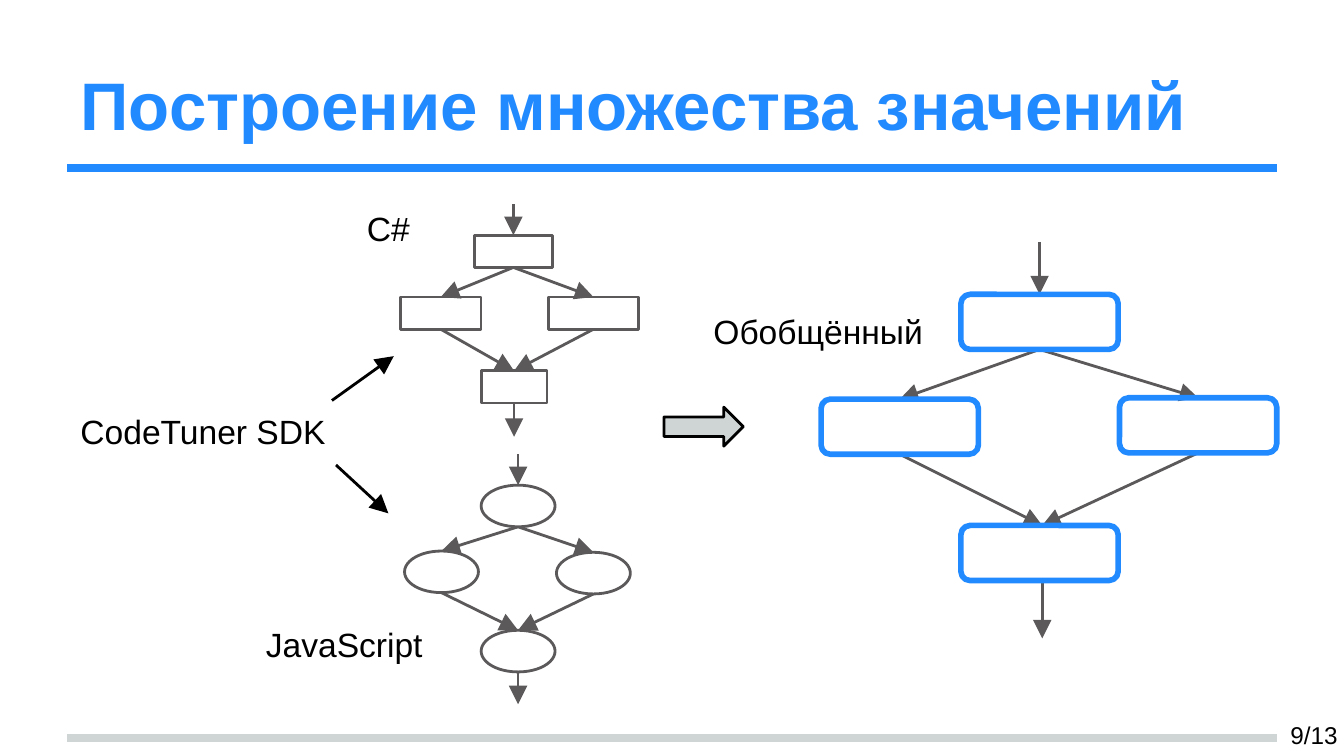
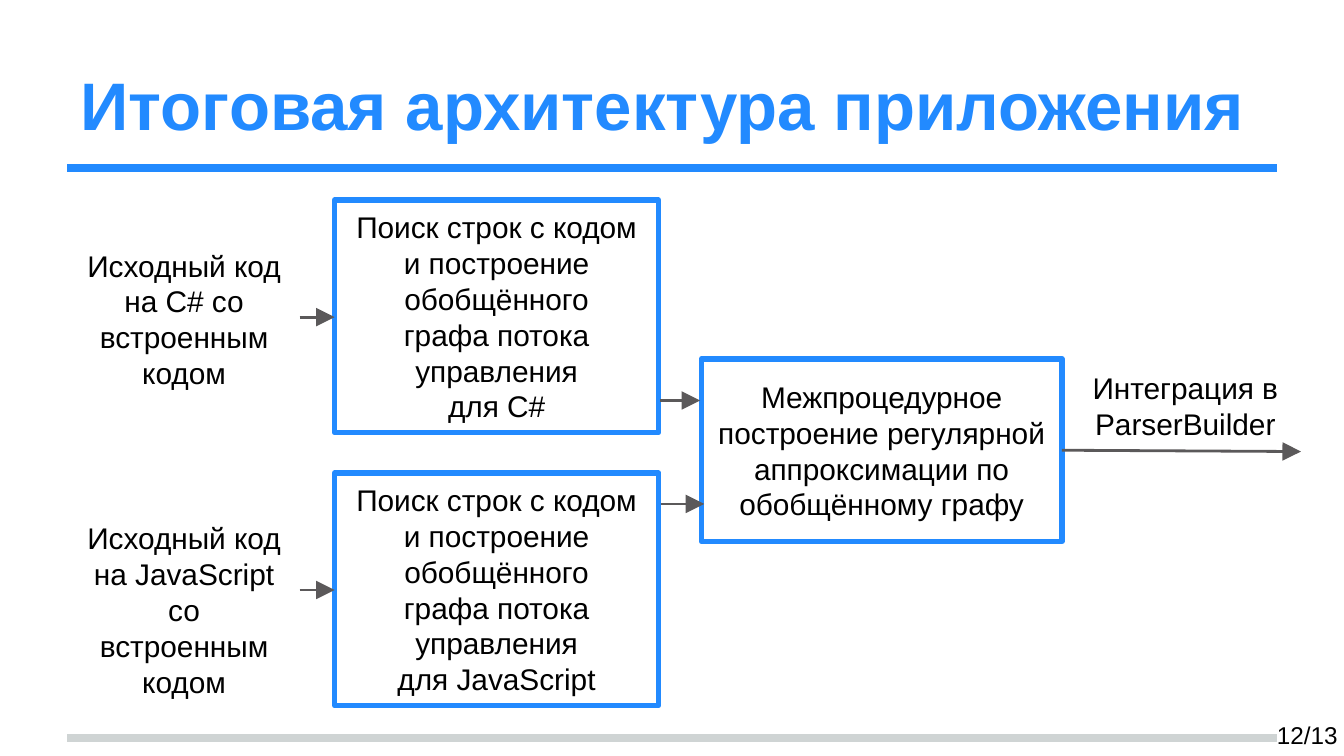
import pptx
import pptx.util
import pptx.dml.color
import pptx.enum.shapes
import pptx.enum.text
import pptx.oxml.ns
from dataclasses import dataclass
from lxml import etree

Inches = pptx.util.Inches
Pt = pptx.util.Pt
SHAPE = pptx.enum.shapes.MSO_SHAPE
ALIGN = pptx.enum.text.PP_ALIGN
ANCHOR = pptx.enum.text.MSO_ANCHOR


@dataclass(frozen=True)
class Theme:
    font: str = "Arial"
    blue: str = "228AFF"
    gray: str = "5B595A"
    silver: str = "CFD4D4"
    black: str = "000000"
    white: str = "FFFFFF"
    title: int = 36
    label: int = 18
    body: int = 16
    number: int = 13
    thin: float = 1.5
    thick: float = 3
    band: float = 4


THEME = Theme()


def rgb(color):
    return pptx.dml.color.RGBColor.from_string(color)


def apply(target, values):
    for name, value in values.items():
        setattr(target, name, value)


def place(sp, box):
    apply(sp, dict(zip(("left", "top", "width", "height"), map(Inches, box))))


def write(sp, paragraphs, size, align=ALIGN.LEFT, anchor=ANCHOR.TOP,
          color=THEME.black, bold=False):
    tf = sp.text_frame
    margins = ("margin_left", "margin_top", "margin_right", "margin_bottom")
    apply(tf, dict.fromkeys(margins, Inches(0.1)))
    apply(tf, {"word_wrap": True, "vertical_anchor": anchor,
               "auto_size": pptx.enum.text.MSO_AUTO_SIZE.NONE})
    for i, text in enumerate(paragraphs):
        p = tf.paragraphs[0] if i == 0 else tf.add_paragraph()
        p.alignment = align
        r = p.add_run()
        r.text = text
        apply(r.font, {"name": THEME.font, "size": Pt(size), "bold": bold})
        r.font.color.rgb = rgb(color)


def add_label(s, box, text, size=THEME.label, **style):
    write(s.shapes.add_textbox(*map(Inches, box)), [text], size, **style)


def add_line(s, start, end, color=THEME.gray, width=THEME.thin, arrow=True):
    line = s.shapes.add_connector(pptx.enum.shapes.MSO_CONNECTOR.STRAIGHT,
                                  *map(Inches, (*start, *end)))
    line.line.color.rgb = rgb(color)
    line.line.width = Pt(width)
    qn = pptx.oxml.ns.qn
    properties = line._element.spPr
    if arrow:
        etree.SubElement(properties.find(qn("a:ln")), qn("a:tailEnd"),
                         type="triangle", w="lg", len="lg")
    etree.SubElement(properties, qn("a:effectLst"))


def add_node(s, kind, box, line=THEME.gray, width=THEME.thin, fill=THEME.white):
    sp = s.shapes.add_shape(kind, *map(Inches, box))
    sp.shadow.inherit = False
    if fill:
        sp.fill.solid()
        sp.fill.fore_color.rgb = rgb(fill)
    else:
        sp.fill.background()
    sp.line.color.rgb = rgb(line)
    sp.line.width = Pt(width)
    return sp


def add_stage(s, box, paragraphs):
    sp = add_node(s, SHAPE.RECTANGLE, box, THEME.blue, THEME.thick)
    write(sp, paragraphs, THEME.body, ALIGN.CENTER, ANCHOR.MIDDLE)


def add_nodes(s, kind, boxes, **style):
    for box in boxes:
        add_node(s, kind, box, **style)


def add_flow_arrows(s, boxes, entry, leave, shift=0.0):
    def top(box):
        return box[0] + box[2] / 2, box[1]

    def bottom(box):
        return box[0] + box[2] / 2, box[1] + box[3]

    first, left, right, last = boxes
    x, y = top(first)
    add_line(s, (x, y - entry), (x, y))
    for branch in (left, right):
        add_line(s, bottom(first), top(branch))
    x, y = top(last)
    for branch in (right, left):
        add_line(s, bottom(branch), (x + shift, y))
    x, y = bottom(last)
    add_line(s, (x + shift, y), (x + shift, y + leave))


def add_slide(prs, title, number):
    s = prs.slides.add_slide(prs.slide_layouts[5])
    for y, color in ((5.49, THEME.silver), (1.25, THEME.blue)):
        add_line(s, (0.5, y), (9.5, y), color, THEME.band, arrow=False)
    place(s.shapes.title, (0.5, 0.23, 9, 0.94))
    write(s.shapes.title, [title], THEME.title, anchor=ANCHOR.BOTTOM,
          color=THEME.blue, bold=True)
    add_label(s, (9.2, 5.25, 0.85, 0.43), f"{number}/13", THEME.number,
              align=ALIGN.RIGHT, anchor=ANCHOR.MIDDLE)
    return s


def build_value_sets(prs):
    s = add_slide(prs, "Построение множества значений", 9)
    boxes = [(3.53, 1.75, 0.58, 0.24), (2.98, 2.21, 0.6, 0.24),
             (4.08, 2.21, 0.67, 0.24), (3.58, 2.76, 0.49, 0.24)]
    add_nodes(s, SHAPE.RECTANGLE, boxes)
    add_flow_arrows(s, boxes, 0.23, 0.25)

    corners = [(3.58, 3.61), (3.01, 4.1), (4.14, 4.11), (3.58, 4.69)]
    ellipses = [(*corner, 0.55, 0.31) for corner in corners]
    add_flow_arrows(s, ellipses, 0.23, 0.24)
    add_nodes(s, SHAPE.OVAL, ellipses)

    add_label(s, (2.2, 1.45, 1.38, 0.61), "С#", align=ALIGN.CENTER)
    add_label(s, (1.88, 4.54, 1.44, 0.61), "JavaScript")
    add_label(s, (0.5, 2.96, 2.09, 0.48), "CodeTuner SDK")
    add_line(s, (2.47, 2.98), (2.93, 2.65), THEME.black)
    add_line(s, (2.5, 3.46), (2.89, 3.82), THEME.black)

    corners = [(7.15, 2.19), (6.11, 2.97), (8.33, 2.96), (7.15, 3.91)]
    blocks = [(*corner, 1.17, 0.41) for corner in corners]
    add_flow_arrows(s, blocks, 0.39, 0.43, shift=0.02)
    add_nodes(s, SHAPE.ROUNDED_RECTANGLE, blocks, line=THEME.blue,
              width=THEME.thick, fill=None)
    add_node(s, SHAPE.RIGHT_ARROW, (4.94, 3.03, 0.59, 0.29), THEME.black,
             fill=THEME.silver)
    add_label(s, (5.21, 2.21, 1.79, 0.48), "Обобщённый")


def build_architecture(prs):
    s = add_slide(prs, "Итоговая архитектура приложения", 12)
    centered = {"size": THEME.body, "align": ALIGN.CENTER}
    for i, language in enumerate(("C#", "JavaScript")):
        y = 1.49 + 2.03 * i
        add_stage(s, (2.49, y, 2.41, 1.73),
                  ["Поиск строк с кодом и построение обобщённого",
                   "графа потока управления", f"для {language}"])
        add_label(s, (0.5, y + 0.25, 1.74, 1.23),
                  f"Исходный код на {language} со встроенным кодом", **centered)
        add_line(s, (2.23, y + 0.87), (2.49, y + 0.87))
    add_stage(s, (5.22, 2.67, 2.68, 1.36),
              ["Межпроцедурное построение регулярной аппроксимации по обобщённому графу"])
    add_label(s, (7.95, 2.65, 1.74, 0.65), "Интеграция в ParserBuilder", **centered)
    for start, end in (((4.91, 2.98), (5.21, 2.98)),
                       ((4.92, 3.75), (5.24, 3.75)),
                       ((7.9, 3.35), (9.68, 3.36))):
        add_line(s, start, end)


def main():
    prs = pptx.Presentation()
    apply(prs, {"slide_width": Inches(10), "slide_height": Inches(10 * 9 / 16)})
    build_value_sets(prs)
    build_architecture(prs)
    prs.save("out.pptx")


if __name__ == "__main__":
    main()
